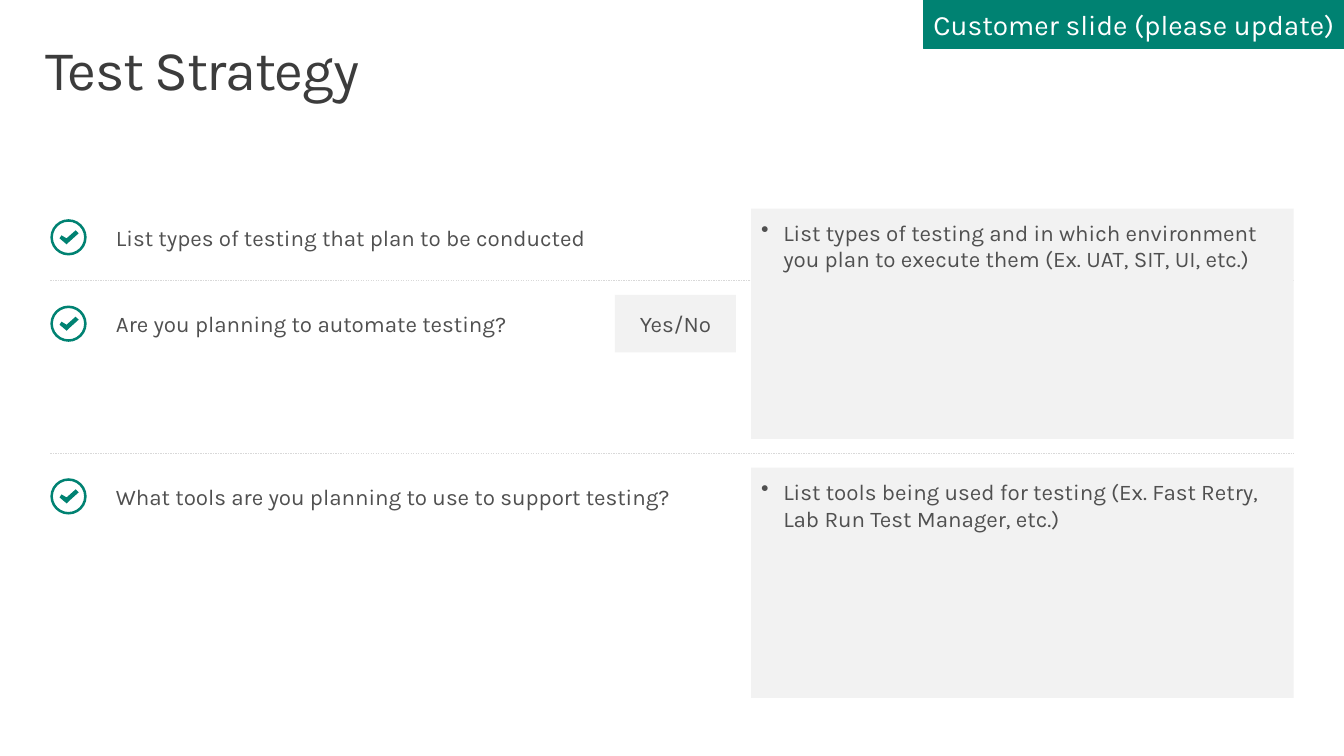
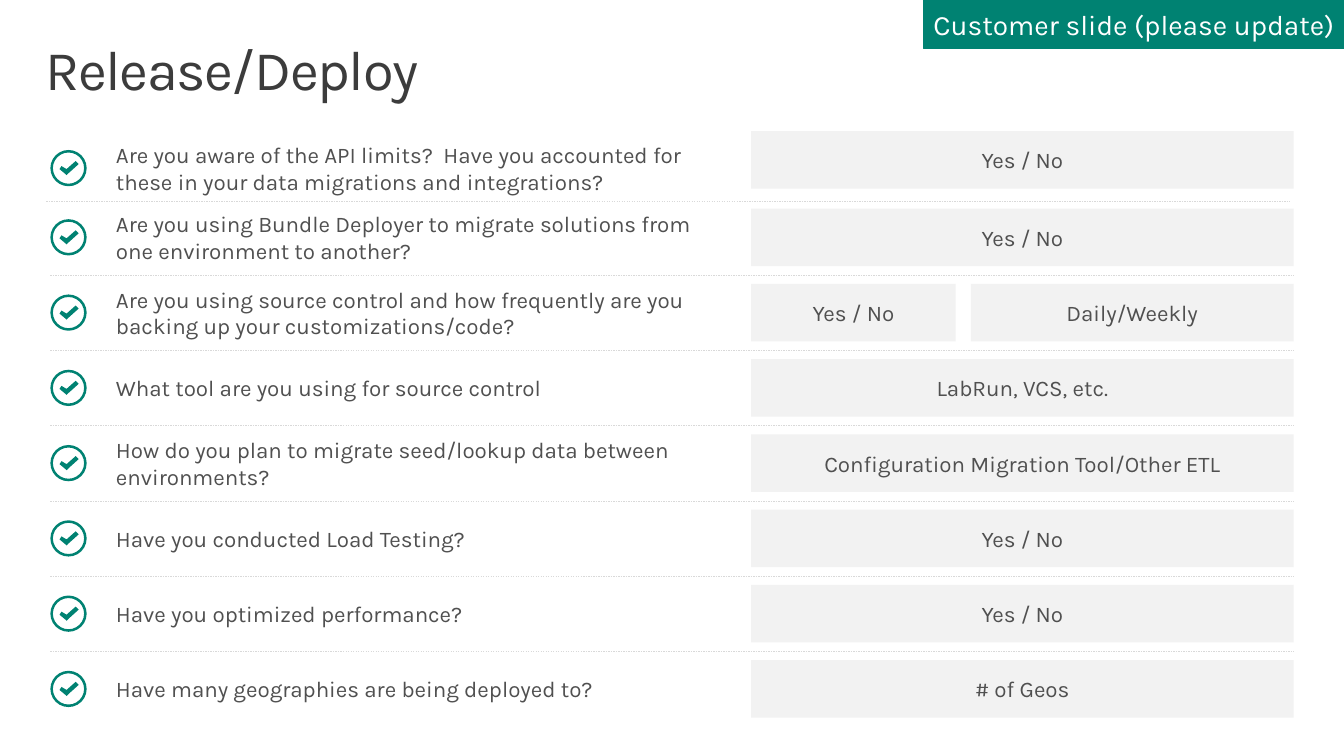
import pptx
import pptx.util
import pptx.dml.color
import pptx.enum.dml
import pptx.enum.shapes
import pptx.enum.text
import pptx.oxml.ns
import lxml.etree

Inch = pptx.util.Inches
Pt = pptx.util.Pt
Align = pptx.enum.text.PP_ALIGN
Anchor = pptx.enum.text.MSO_ANCHOR
Shape = pptx.enum.shapes.MSO_SHAPE
qn = pptx.oxml.ns.qn

HUES = {"teal": "008272", "grey": "F2F2F2", "rule": "D9D9D9",
        "head": "3C3C3C", "body": "505050", "white": "FFFFFF"}
FONT = "Karla"
WIDE, HIGH = 13.33, 7.5

# Columns, first row and row height shared by both slides
LEFT, RIGHT, MID = 0.5, 12.83, 7.45
FULL = RIGHT - MID
GAP = 0.15
TOP, ROW = 2.07, 0.57
ICON = 0.36
TICK = [(25, 11), (16, 19), (11, 16), (9, 19), (15, 24), (16, 25), (18, 23), (28, 14)]


def hue(name):
    return pptx.dml.color.RGBColor.from_string(HUES[name])


def block(slide, box, words, fill=None, size=16, ink="body", align=Align.LEFT,
          anchor=Anchor.MIDDLE, pads=(0.1, 0.05, 0.1, 0.05)):
    """Add a text box, or a filled rectangle when fill is given."""
    box = [Inch(n) for n in box]
    if fill:
        shape = slide.shapes.add_shape(Shape.RECTANGLE, *box)
        shape.shadow.inherit = False
        shape.fill.solid()
        shape.fill.fore_color.rgb = hue(fill)
        shape.line.fill.background()
    else:
        shape = slide.shapes.add_textbox(*box)
    frame = shape.text_frame
    frame.word_wrap = True
    frame.vertical_anchor = anchor
    (frame.margin_left, frame.margin_top,
     frame.margin_right, frame.margin_bottom) = [Inch(n) for n in pads]
    para = frame.paragraphs[0]
    para.text = words
    para.alignment = align
    para.font.name, para.font.size = FONT, Pt(size)
    para.font.color.rgb = hue(ink)
    return shape


# Rules: row, shift to the left. Checks: row, question.
# Fields: row, left, width, rows spanned, answer; those of several rows are lists.
PAGES = [
    {"title": "Test Strategy", "step": 2.57 / 3,
     "rules": [(1, 0), (3, 0)],
     "checks": [(0, "List types of testing that plan to be conducted"),
                (1, "Are you planning to automate testing?"),
                (3, "What tools are you planning to use to support testing?")],
     "fields": [(1, 6.1, 1.2, 1, "Yes/No"),
                (0, MID, FULL, 3, "List types of testing and in which environment you plan "
                                  "to execute them (Ex. UAT, SIT, UI, etc.)"),
                (3, MID, FULL, 3, "List tools being used for testing (Ex. Fast Retry, "
                                  "Lab Run Test Manager, etc.)")]},
    {"title": "Release/Deploy", "step": 4.48 / 6,
     "rules": [(0.02, 0.04)] + [(n, 0) for n in range(1, 7)],
     "checks": [(-0.92, "Are you aware of the API limits?  Have you accounted for these "
                        "in your data migrations and integrations?"),
                (0, "Are you using Bundle Deployer to migrate solutions from one "
                    "environment to another?"),
                (1, "Are you using source control and how frequently are you backing up "
                    "your customizations/code?"),
                (2, "What tool are you using for source control"),
                (3, "How do you plan to migrate seed/lookup data between environments?"),
                (4, "Have you conducted Load Testing?"),
                (5, "Have you optimized performance?"),
                (6, "Have many geographies are being deployed to?")],
     "fields": [(-1.03, MID, FULL, 1, "Yes / No"),
                (0, MID, FULL, 1, "Yes / No"),
                (1, MID, 2.03, 1, "Yes / No"),
                (1, MID + 2.03 + GAP, FULL - 2.03 - GAP, 1, "Daily/Weekly"),
                (2, MID, FULL, 1, "LabRun, VCS, etc."),
                (3, MID, FULL, 1, "Configuration Migration Tool/Other ETL"),
                (4, MID, FULL, 1, "Yes / No"),
                (5, MID, FULL, 1, "Yes / No"),
                (6, MID, FULL, 1, "# of Geos")]},
]

deck = pptx.Presentation()
deck.slide_width, deck.slide_height = Inch(WIDE), Inch(HIGH)

for page in PAGES:
    slide = deck.slides.add_slide(deck.slide_layouts[6])
    step = page["step"]

    title = block(slide, (0.29, 0.32, 12.75, 0.98), page["title"], size=40, ink="head",
                  anchor=Anchor.TOP, pads=(0.16, 0.1, 0.16, 0.1))
    para = title.text_frame.paragraphs[0]
    para.line_spacing = 0.9
    para.runs[0]._r.get_or_add_rPr().set("spc", "-100")

    # Each rule runs halfway between two rows
    for row, shift in page["rules"]:
        y = Inch(TOP + row * step - (step - ROW) / 2)
        rule = slide.shapes.add_connector(pptx.enum.shapes.MSO_CONNECTOR.STRAIGHT,
                                          Inch(LEFT - shift), y, Inch(RIGHT - shift), y)
        rule.line.color.rgb = hue("rule")
        rule.line.width = Pt(0.25)
        rule.line.dash_style = pptx.enum.dml.MSO_LINE.DASH
        lxml.etree.SubElement(rule._element.spPr, qn("a:effectLst"))

    for row, words in page["checks"]:
        y = TOP + row * step
        block(slide, (0.55, y, 6.75, ROW), words, pads=(0.6, 0.05, 0.1, 0.05))
        x, y = Inch(LEFT), Inch(y + (ROW - ICON) / 2)
        group = slide.shapes.add_group_shape()
        ring = group.shapes.add_shape(Shape.DONUT, x, y, Inch(ICON), Inch(ICON))
        ring.adjustments[0] = 0.07
        pen = group.shapes.build_freeform(*TICK[0], scale=Inch(0.01))
        pen.add_line_segments(TICK[1:], close=True)
        for part in (ring, pen.convert_to_shape(x, y)):
            part.shadow.inherit = False
            part.fill.solid()
            part.fill.fore_color.rgb = hue("teal")
            part.line.fill.background()

    for row, left, width, span, words in page["fields"]:
        box = (left, TOP + row * step, width, (span - 1) * step + ROW)
        if span == 1:
            block(slide, box, words, "grey", align=Align.CENTER)
            continue
        field = block(slide, box, words, "grey", anchor=Anchor.TOP,
                      pads=(0.1, 0.1, 0.1, 0.05))
        props = field.text_frame.paragraphs[0]._p.get_or_add_pPr()
        props.set("marL", str(Inch(0.22)))
        props.set("indent", str(-Inch(0.22)))
        dot = lxml.etree.Element(qn("a:buChar"), char="•")
        props.insert(0, dot)

    band = block(slide, (9.16, 0, WIDE - 9.16, 0.48), "Customer slide (please update)",
                 "teal", size=20, ink="white")
    band.text_frame.word_wrap = False
    band.line.color.rgb = hue("teal")
    band.line.width = Pt(0.25)

deck.save("out.pptx")
